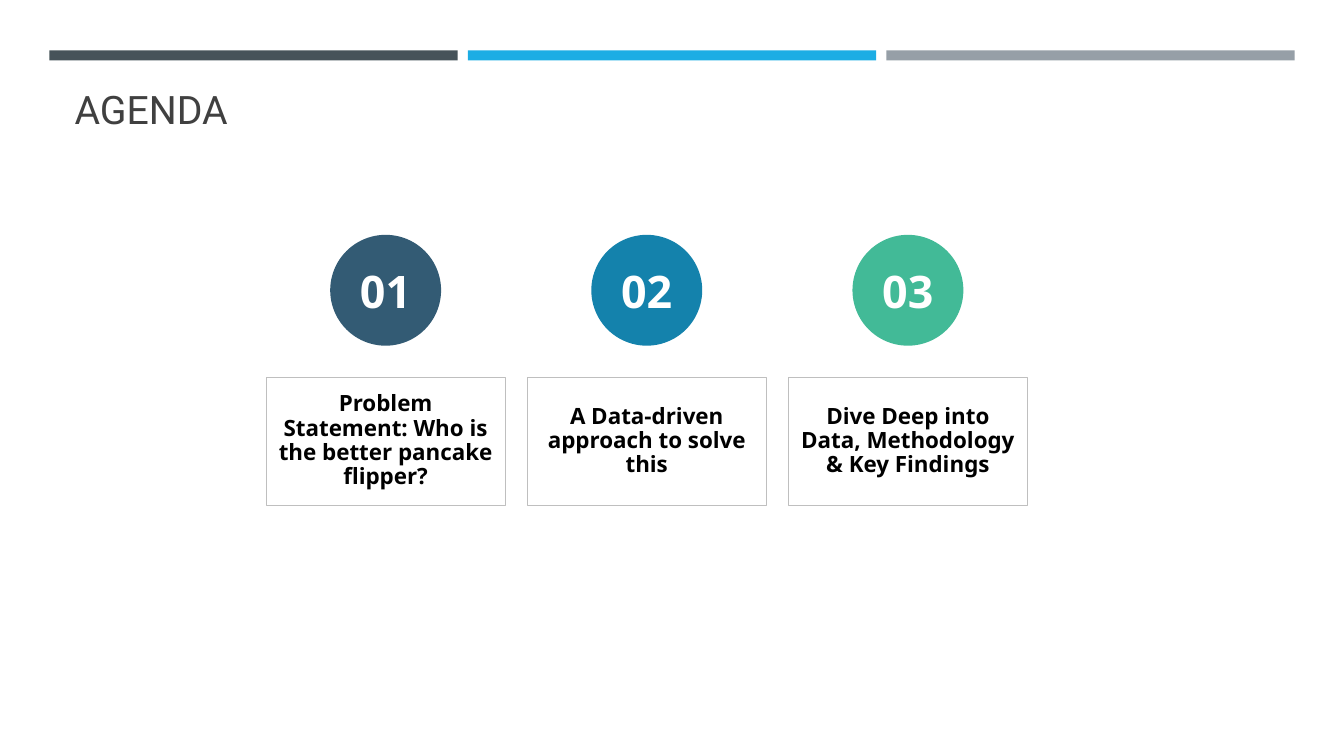
from pptx import Presentation
from pptx.dml.color import RGBColor as Rgb
from pptx.enum.shapes import MSO_SHAPE as Shape
from pptx.enum.text import MSO_ANCHOR as Anchor, MSO_AUTO_SIZE as Fit, PP_ALIGN as Align
from pptx.util import Inches, Pt

INK = {
    "slate": "465359", "sky": "1CADE4", "grey": "969FA7",
    "navy": "335B74", "blue": "1482AC", "green": "42BA97",
    "title": "404040", "edge": "BFBFBF", "black": "000000", "white": "FFFFFF",
}
BARS = ["slate", "sky", "grey"]
STEPS = [
    ("navy", "Problem Statement: Who is the better pancake flipper?"),
    ("blue", "A Data-driven approach to solve this"),
    ("green", "Dive Deep into Data, Methodology & Key Findings"),
]
BAR_LEFT, BAR_PITCH, BAR_WIDE = 0.49, 4.15, 4.05
STEP_LEFT, STEP_PITCH = 2.64, 2.59
CARD_WIDE, DISC = 2.37, 1.1


def color(name):
    """Return the named colour."""
    return Rgb.from_string(INK[name])


def write(shape, text, size, font, ink, bold=False, align=Align.CENTER, anchor=Anchor.MIDDLE):
    """Put one run of text in a shape and return its paragraph."""
    frame = shape.text_frame
    frame.word_wrap, frame.auto_size = True, Fit.NONE
    frame.vertical_anchor = anchor
    para = frame.paragraphs[0]
    para.alignment = align
    run = para.add_run()
    run.text = text
    run.font.size, run.font.name, run.font.bold = Pt(size), font, bold
    run.font.color.rgb = color(ink)
    return para


def draw(slide, kind, box, fill=None, edge=None):
    """Add a flat shape with an optional fill and outline."""
    shape = slide.shapes.add_shape(kind, *map(Inches, box))
    shape.shadow.inherit = False
    if fill:
        shape.fill.solid()
        shape.fill.fore_color.rgb = color(fill)
    else:
        shape.fill.background()
    if edge:
        shape.line.color.rgb = color(edge)
        shape.line.width = Pt(0.25)
    else:
        shape.line.fill.background()
    return shape


def add_title(slide, text):
    """Place and format the title."""
    title = slide.shapes.title
    title.left, title.top, title.width, title.height = map(Inches, (0.64, 0.77, 12.06, 0.59))
    write(title, text, 28, "Roboto", "title", align=Align.LEFT, anchor=Anchor.BOTTOM)


def add_step(slide, col, fill, text):
    """Add a numbered disc above its card."""
    left = STEP_LEFT + col * STEP_PITCH
    inset = (CARD_WIDE - DISC) / 2
    disc = draw(slide, Shape.OVAL, (left + inset, 2.33, DISC, DISC), fill)
    write(disc, f"{col + 1:02}", 32, "Noto Sans", "white", bold=True)
    card = draw(slide, Shape.RECTANGLE, (left, 3.74, CARD_WIDE, 1.27), edge="edge")
    para = write(card, text, 16, "Noto Sans", "black", bold=True)
    para.line_spacing, para.space_before = 0.9, Pt(6)


def main():
    """Build the agenda slide."""
    deck = Presentation()
    deck.slide_width, deck.slide_height = Inches(13.33), Inches(7.5)
    slide = deck.slides.add_slide(deck.slide_layouts[5])
    for col, fill in enumerate(BARS):
        draw(slide, Shape.RECTANGLE, (BAR_LEFT + col * BAR_PITCH, 0.5, BAR_WIDE, 0.1), fill)
    add_title(slide, "AGENDA")
    for col, (fill, text) in enumerate(STEPS):
        add_step(slide, col, fill, text)
    deck.save("out.pptx")


main()
